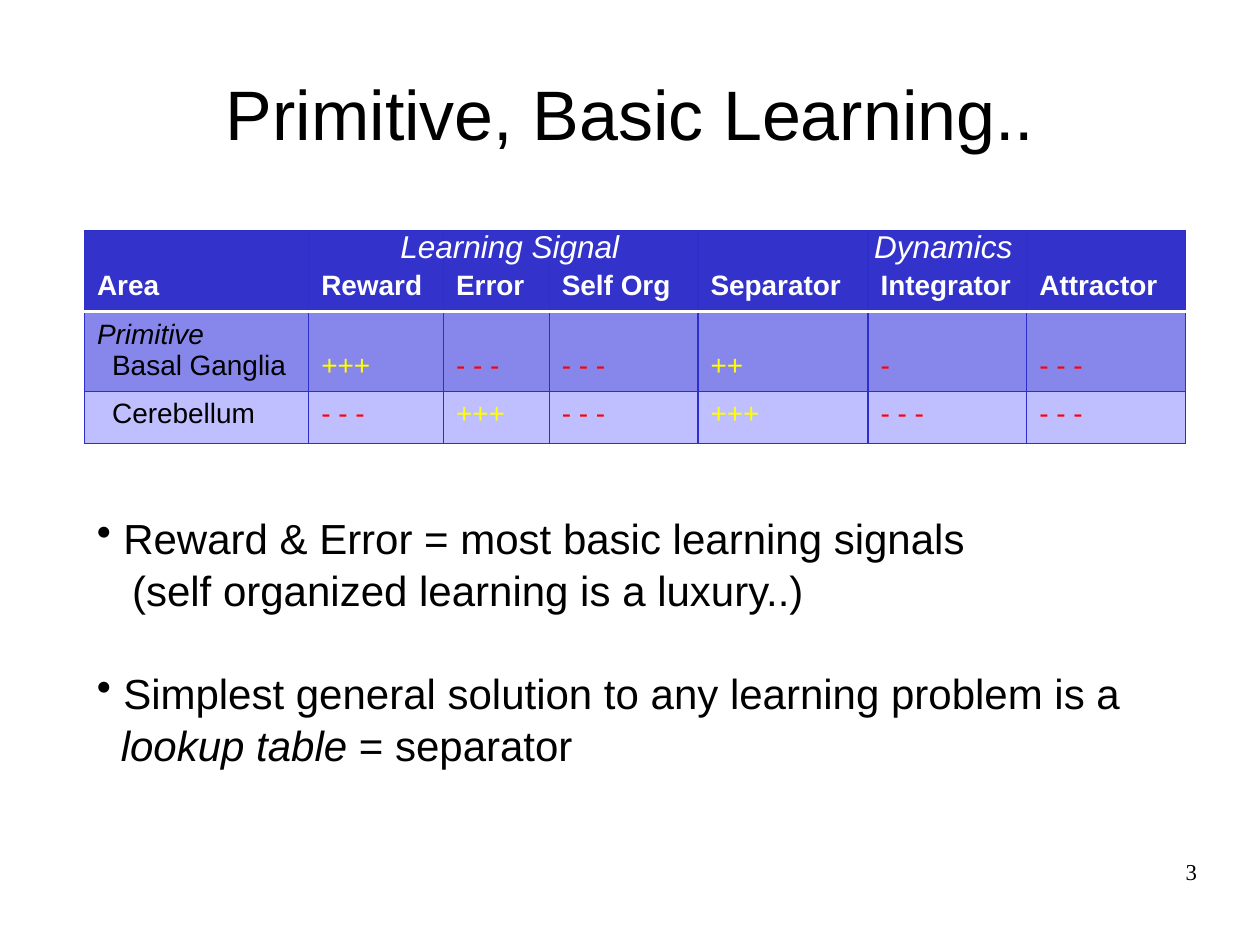
from dataclasses import dataclass

from lxml import etree
from pptx import Presentation
from pptx.dml.color import RGBColor
from pptx.enum.text import MSO_ANCHOR, PP_ALIGN
from pptx.oxml.ns import qn
from pptx.util import Inches, Pt

CENTER, RIGHT = PP_ALIGN.CENTER, PP_ALIGN.RIGHT
MIDDLE, BOTTOM = MSO_ANCHOR.MIDDLE, MSO_ANCHOR.BOTTOM


@dataclass(frozen=True)
class Theme:
    font: str = "Arial"
    number_font: str = "Times New Roman"
    title_size: int = 40
    body_size: int = 24
    group_size: int = 18
    table_size: int = 16
    number_size: int = 13
    black: str = "000000"
    white: str = "FFFFFF"
    header: str = "3333CC"
    row_fills: tuple = ("8787EB", "BFBFFF")
    grid: str = "2E2ECB"
    plus: str = "FFFF00"
    minus: str = "FF0000"


@dataclass(frozen=True)
class Label:
    text: str
    box: tuple
    size: int
    color: str
    font: str = "Arial"
    italic: bool = False
    align: object = None
    line_spacing: float = 1.0
    inset: tuple = (0.1, 0.05)


@dataclass(frozen=True)
class Line:
    runs: tuple  # (text, italic) pairs
    left: float
    bullet: bool = False
    gap: float = 0


T = Theme()
COL_WIDTHS = (1.78, 1.07, 0.84, 1.18, 1.35, 1.26, 1.26)
ROW_HEIGHTS = (0.64, 0.64, 0.41)
ROWS = (
    ("Area", "Reward", "Error", "Self Org", "Separator", "Integrator", "Attractor"),
    ("Basal Ganglia", "+++", "- - -", "- - -", "++", "-", "- - -"),
    ("Cerebellum", "- - -", "+++", "- - -", "+++", "- - -", "- - -"),
)
LABELS = (
    Label("Learning Signal", (3.08, 1.75, 2, 0.4), T.group_size, T.white, italic=True),
    Label("Dynamics", (6.84, 1.75, 1.33, 0.4), T.group_size, T.white, italic=True),
    Label("3", (7.17, 6.83, 2.33, 0.52), T.number_size, T.black, T.number_font,
          align=RIGHT, line_spacing=0.93, inset=(0, 0)),
)
BODY = (
    Line((("Reward & Error = most basic learning signals", False),), 0.21, True),
    Line((("(self organized learning is a luxury..)", False),), 0.28),
    Line((("Simplest general solution to any learning problem is a", False),),
         0.21, True, gap=28.7),
    Line((("lookup table", True), (" = separator", False)), 0.19),
)


def add_text(p, text: str, *, size: int, color: str = T.black, font: str = T.font,
             bold: bool = False, italic: bool = False) -> None:
    r = p.add_run()
    r.text = text
    f = r.font
    f.name, f.size, f.bold, f.italic = font, Pt(size), bold, italic
    f.color.rgb = RGBColor.from_string(color)


def set_indent(p, left: float, bullet: bool = False) -> None:
    pPr = p._p.get_or_add_pPr()
    pPr.set("marL", str(Inches(left)))
    pPr.set("indent", str(-Inches(left) if bullet else 0))
    if bullet:
        etree.SubElement(pPr, qn("a:buChar"), char="•")


def set_insets(tf, x: float, y: float) -> None:
    tf.margin_left = tf.margin_right = Inches(x)
    tf.margin_top = tf.margin_bottom = Inches(y)


def add_box(s, box: tuple, inset: tuple = (0.1, 0.05)):
    tf = s.shapes.add_textbox(*map(Inches, box)).text_frame
    tf.word_wrap = True
    set_insets(tf, *inset)
    return tf


def add_label(s, label: Label) -> None:
    p = add_box(s, label.box, label.inset).paragraphs[0]
    p.alignment, p.line_spacing = label.align, label.line_spacing
    add_text(p, label.text, size=label.size, color=label.color, font=label.font,
             italic=label.italic)


def set_borders(cell, edges: dict) -> None:
    """Draw each edge, given in L, R, T, B order as (colour, points)."""
    tcPr = cell._tc.get_or_add_tcPr()
    for i, (side, (color, width)) in enumerate(edges.items()):
        ln = etree.Element(qn(f"a:ln{side}"), w=str(Pt(width)))
        fill = etree.SubElement(ln, qn("a:solidFill"))
        etree.SubElement(fill, qn("a:srgbClr"), val=color)
        tcPr.insert(i, ln)


def fill_cell(cell, row: int, col: int, text: str) -> None:
    header = row == 0
    cell.fill.solid()
    color = T.header if header else T.row_fills[row - 1]
    cell.fill.fore_color.rgb = RGBColor.from_string(color)
    edges = dict.fromkeys("LRTB", (T.grid, 0.75))
    if header:
        edges["B"] = (T.white, 2)
    elif row == 1:
        edges["T"] = (T.white, 2)
    set_borders(cell, edges)
    if row < 2:  # tall rows keep their text on the lower line
        cell.vertical_anchor = BOTTOM
        cell.margin_bottom = Inches(0.08)

    p = cell.text_frame.paragraphs[0]
    if row == 1 and col == 0:
        add_text(p, "Primitive", size=T.table_size, italic=True)
        p = cell.text_frame.add_paragraph()
    if header:
        color = T.white
    elif col == 0:
        color = T.black
        set_indent(p, 0.12)
    else:
        color = T.plus if "+" in text else T.minus
    add_text(p, text, size=T.table_size, color=color, bold=header)


def add_learning_table(s) -> None:
    frame = s.shapes.add_table(len(ROWS), len(COL_WIDTHS), Inches(0.67), Inches(1.83),
                               Inches(sum(COL_WIDTHS)), Inches(sum(ROW_HEIGHTS)))
    table = frame.table
    table.first_row = table.horz_banding = False
    for column, width in zip(table.columns, COL_WIDTHS):
        column.width = Inches(width)
    for i, (height, texts) in enumerate(zip(ROW_HEIGHTS, ROWS)):
        table.rows[i].height = Inches(height)
        for j, text in enumerate(texts):
            fill_cell(table.cell(i, j), i, j, text)


def add_body(s) -> None:
    tf = add_box(s, (0.67, 4, 8.75, 2.52))
    for i, line in enumerate(BODY):
        p = tf.add_paragraph() if i else tf.paragraphs[0]
        p.line_spacing, p.space_before = 1.04, Pt(line.gap)
        set_indent(p, line.left, line.bullet)
        for text, italic in line.runs:
            add_text(p, text, size=T.body_size, italic=italic)


def main() -> None:
    prs = Presentation()
    prs.slide_width, prs.slide_height = Inches(10), Inches(7.5)
    s = prs.slides.add_slide(prs.slide_layouts[5])

    # Title
    title = s.shapes.title
    title.left, title.top = Inches(0.5), Inches(0.3)
    title.width, title.height = Inches(9), Inches(1.25)
    tf = title.text_frame
    set_insets(tf, 0, 0)
    tf.vertical_anchor = MIDDLE
    p = tf.paragraphs[0]
    p.alignment, p.line_spacing = CENTER, 0.94
    add_text(p, "Primitive, Basic Learning..", size=T.title_size)

    # Table, then the group headings over it and the slide number
    add_learning_table(s)
    for label in LABELS:
        add_label(s, label)

    # Conclusions
    add_body(s)
    prs.save("out.pptx")


if __name__ == "__main__":
    main()
